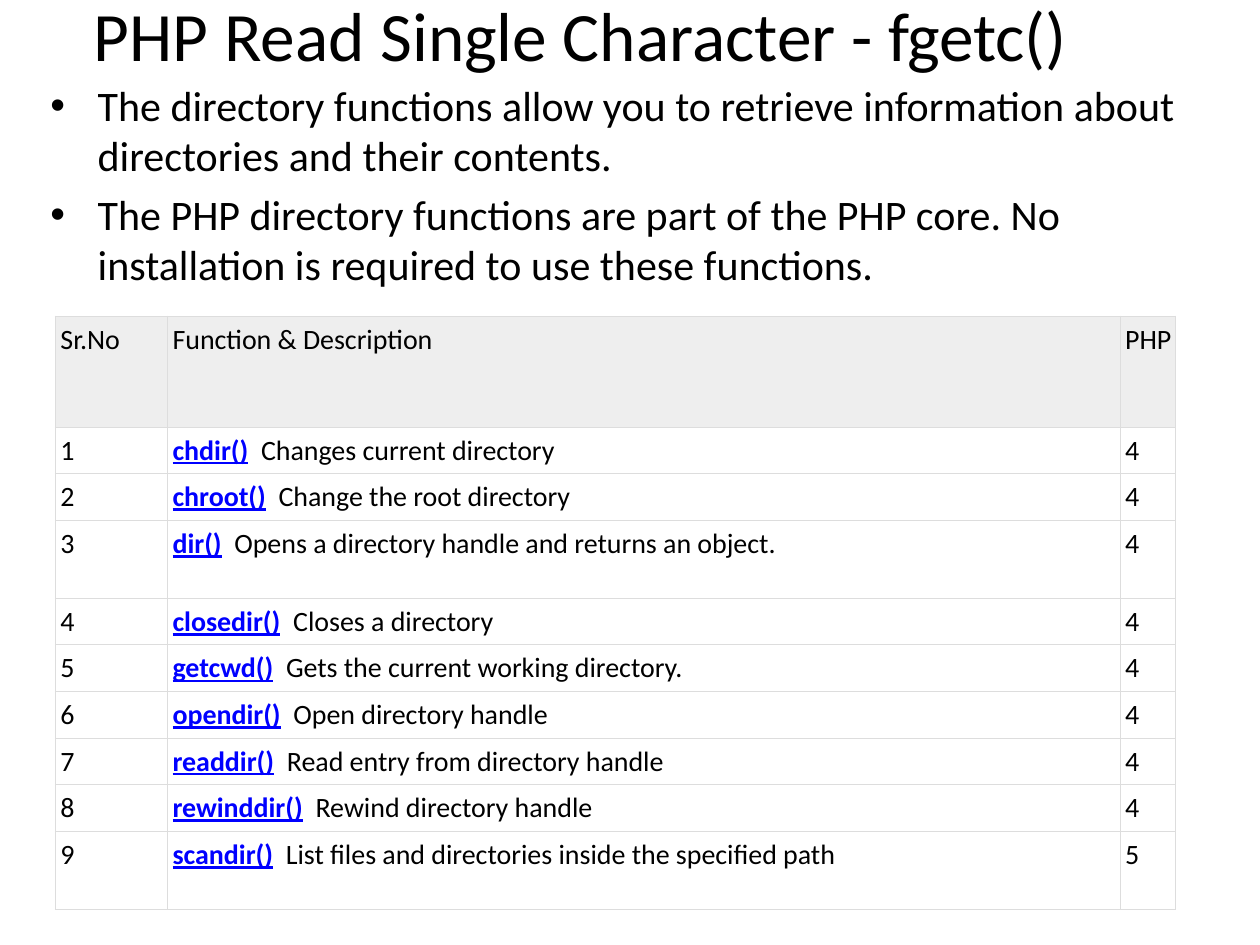
import pptx
import pptx.dml.color
import pptx.enum.text
import pptx.oxml
import pptx.oxml.ns
import pptx.util
from pptx.util import Inches

RGBColor = pptx.dml.color.RGBColor
PP_ALIGN = pptx.enum.text.PP_ALIGN
ANCHOR = pptx.enum.text.MSO_ANCHOR

BLACK = RGBColor(0x00, 0x00, 0x00)
LINK_BLUE = RGBColor(0x00, 0x00, 0xFF)
GAP_GRAY = RGBColor(0x31, 0x31, 0x31)
HEADER_FILL = RGBColor(0xEE, 0xEE, 0xEE)
BORDER_GRAY = RGBColor(0xDD, 0xDD, 0xDD)
FONT = "Calibri"

TITLE = "PHP Read Single Character - fgetc()"
POINTS = [
    "The directory functions allow you to retrieve information about directories and their contents.",
    "The PHP directory functions are part of the PHP core. No installation is required to use these functions.",
]
HEADERS = ["Sr.No", "Function & Description", "PHP"]
FUNCTIONS = [
    ("chdir()", "Changes current directory", "4"),
    ("chroot()", "Change the root directory", "4"),
    ("dir()", "Opens a directory handle and returns an object.", "4"),
    ("closedir()", "Closes a directory", "4"),
    ("getcwd()", "Gets the current working directory.", "4"),
    ("opendir()", "Open directory handle", "4"),
    ("readdir()", "Read entry from directory handle", "4"),
    ("rewinddir()", "Rewind directory handle", "4"),
    ("scandir()", "List files and directories inside the specified path", "5"),
]
COLUMN_WIDTHS = [0.89, 7.56, 0.44]
HEADER_HEIGHT, ROW_HEIGHT, TALL_HEIGHT = 0.88, 0.37, 0.62
TALL_ROWS = (3, 9)


def add_text(paragraph, text, size=16, color=BLACK, bold=False, underline=False):
    run = paragraph.add_run()
    run.text = text
    run.font.name = FONT
    run.font.size = pptx.util.Pt(size)
    run.font.color.rgb = color
    run.font.bold = bold
    run.font.underline = underline


def place(placeholder, left, top, width, height, anchor):
    placeholder.left, placeholder.top = Inches(left), Inches(top)
    placeholder.width, placeholder.height = Inches(width), Inches(height)
    frame = placeholder.text_frame
    frame.auto_size = pptx.enum.text.MSO_AUTO_SIZE.NONE
    frame.word_wrap = True
    frame.vertical_anchor = anchor
    return frame


def add_bullets(frame, points):
    for index, point in enumerate(points):
        paragraph = frame.paragraphs[0] if index == 0 else frame.add_paragraph()
        paragraph.space_before = pptx.util.Pt(4.8)
        add_text(paragraph, point, size=24)


def format_cell(cell, fill_color=None):
    # The small right margin keeps the narrow last column's header on one line
    cell.margin_left, cell.margin_right = Inches(0.04), Inches(0.01)
    cell.margin_top, cell.margin_bottom = Inches(0.05), Inches(0.04)
    cell.vertical_anchor = ANCHOR.TOP
    # Borders come before the fill in the cell properties
    properties = cell._tc.get_or_add_tcPr()
    for side in ("lnL", "lnR", "lnT", "lnB"):
        properties.append(pptx.oxml.parse_xml(
            f'<a:{side} {pptx.oxml.ns.nsdecls("a")} w="{pptx.util.Pt(0.75)}">'
            f'<a:solidFill><a:srgbClr val="{BORDER_GRAY}"/></a:solidFill></a:{side}>'))
    if fill_color is None:
        cell.fill.background()
    else:
        cell.fill.solid()
        cell.fill.fore_color.rgb = fill_color


def describe_function(paragraph, name, description):
    paragraph.alignment = PP_ALIGN.JUSTIFY
    add_text(paragraph, name, color=LINK_BLUE, bold=True, underline=True)
    add_text(paragraph, "  ", color=GAP_GRAY, bold=True)
    add_text(paragraph, description)


def add_function_table(slide):
    heights = [HEADER_HEIGHT] + [
        TALL_HEIGHT if number in TALL_ROWS else ROW_HEIGHT
        for number in range(1, len(FUNCTIONS) + 1)]
    table = slide.shapes.add_table(
        len(heights), len(COLUMN_WIDTHS), Inches(0.44), Inches(2.51),
        Inches(sum(COLUMN_WIDTHS)), Inches(sum(heights))).table
    table.first_row = table.horz_banding = False
    for column, width in zip(table.columns, COLUMN_WIDTHS):
        column.width = Inches(width)
    for row, height in zip(table.rows, heights):
        row.height = Inches(height)

    # Header row
    for cell, header in zip(table.rows[0].cells, HEADERS):
        format_cell(cell, HEADER_FILL)
        add_text(cell.text_frame.paragraphs[0], header)

    # One row per function
    for number, (name, description, version) in enumerate(FUNCTIONS, start=1):
        cells = list(table.rows[number].cells)
        for cell in cells:
            format_cell(cell)
        number_line, function_line, version_line = (
            cell.text_frame.paragraphs[0] for cell in cells)
        add_text(number_line, str(number))
        describe_function(function_line, name, description)
        add_text(version_line, version)


def main():
    deck = pptx.Presentation()
    deck.slide_width, deck.slide_height = Inches(10), Inches(7.5)
    slide = deck.slides.add_slide(deck.slide_layouts[1])

    # Title and introduction
    heading = place(slide.shapes.title, 0.55, -0.22, 8.12, 0.97, ANCHOR.MIDDLE)
    heading.paragraphs[0].alignment = PP_ALIGN.CENTER
    add_text(heading.paragraphs[0], TITLE, size=39.6)
    introduction = place(slide.placeholders[1], 0.3, 0.58, 9.18, 5.59, ANCHOR.TOP)
    add_bullets(introduction, POINTS)

    # Directory functions
    add_function_table(slide)
    deck.save("out.pptx")


if __name__ == "__main__":
    main()
